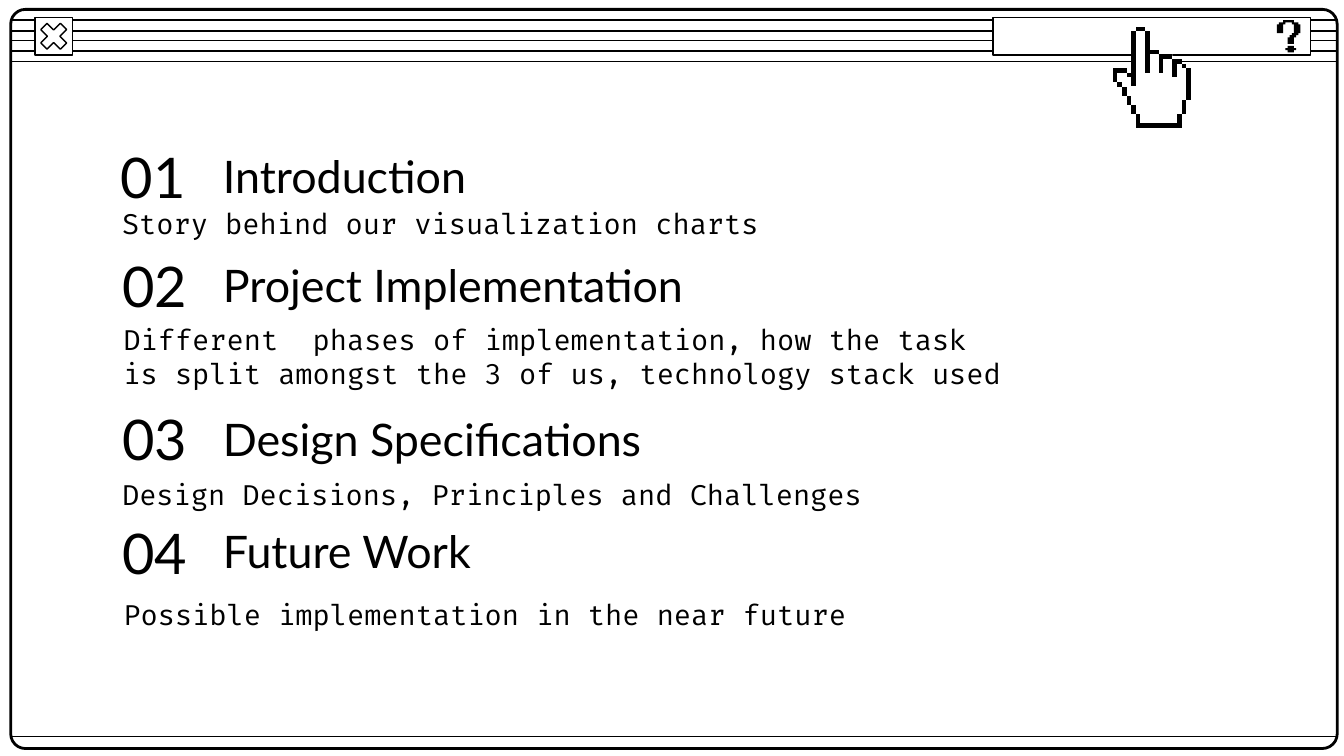
import pptx
import pptx.dml.color
import pptx.enum.shapes
import pptx.enum.text
import pptx.oxml.ns
import pptx.util
from lxml import etree

Inches = pptx.util.Inches
Pt = pptx.util.Pt
Kind = pptx.enum.shapes.MSO_SHAPE

BLACK = pptx.dml.color.RGBColor(0x00, 0x00, 0x00)
WHITE = pptx.dml.color.RGBColor(0xFF, 0xFF, 0xFF)

NUMBER = {"name": "Lato", "size": Pt(30)}
TITLE = {"name": "Lato", "size": Pt(24)}
DETAIL = {"name": "Fira Code", "size": Pt(15)}
FRAME = {
    "word_wrap": True,
    "vertical_anchor": pptx.enum.text.MSO_ANCHOR.MIDDLE,
    "margin_left": Inches(0.1),
    "margin_right": Inches(0.1),
    "margin_top": Inches(0.1),
    "margin_bottom": Inches(0.1),
}

# Number, its left and top, title, top of title, detail, and the detail's box
TOPICS = [
    ("01", 0.8, 1.14, "Introduction", 1.14,
     "Story behind our visualization charts", (0.81, 1.55, 6.17, 0.22)),
    ("02", 0.81, 1.95, "Project Implementation", 1.95,
     "Different  phases of implementation, how the task is split "
     "amongst the 3 of us, technology stack used", (0.82, 2.37, 6.82, 0.56)),
    ("03", 0.81, 3.09, "Design Specifications", 3.09,
     "Design Decisions, Principles and Challenges", (0.81, 3.51, 7.02, 0.34)),
    ("04", 0.81, 3.94, "Future Work", 3.93,
     "Possible implementation in the near future", (0.82, 4.41, 7.18, 0.33)),
]

# Pixel art: corners in grid cells, each reached by going down or up, then across
HOOK = [(3, 0), (1, 1), (0, 2), (3, 6), (4, 2), (7, 1), (8, 2), (7, 6),
        (6, 7), (5, 8), (8, 11), (9, 8), (10, 7), (11, 6), (10, 2), (8, 1)]
DOT = [(5, 12), (4, 13), (5, 14), (8, 15), (9, 14), (8, 13)]
PALM = [(5, 0), (4, 1), (3, 10), (0, 9), (1, 12), (2, 13), (3, 15), (4, 17),
        (5, 19), (15, 22), (16, 19), (17, 16), (16, 9), (15, 8), (13, 7),
        (10, 6), (8, 5), (7, 1)]
# Outline bars of the hand: column, row, columns wide, rows high
BARS = [(4, 1, 1, 12), (5, 0, 2, 1), (7, 1, 1, 9), (8, 5, 2, 1),
        (10, 7, 1, 3), (10, 6, 3, 1), (13, 8, 1, 3), (13, 7, 2, 1),
        (15, 8, 1, 1), (16, 9, 1, 7), (15, 16, 1, 3), (14, 19, 1, 3),
        (5, 21, 9, 1), (3, 10, 1, 1), (0, 9, 3, 1), (0, 10, 1, 2),
        (1, 12, 1, 1), (2, 13, 1, 2), (3, 15, 1, 2), (4, 17, 1, 2),
        (5, 19, 1, 2)]


class Page:
    """Draws black and white window parts on one slide."""

    def __init__(self, slide):
        self.slide = slide
        self.shapes = slide.shapes

    def rule(self, top):
        """Draw a line across the window."""
        line = self.shapes.add_connector(
            pptx.enum.shapes.MSO_CONNECTOR.STRAIGHT,
            Inches(0.08), Inches(top), Inches(9.95), Inches(top))
        line.line.color.rgb = BLACK
        line.line.width = Pt(0.75)
        etree.SubElement(line._element.spPr, pptx.oxml.ns.qn("a:effectLst"))

    def box(self, kind, area, fill=WHITE, width=0.75, bend=None):
        shape = self.shapes.add_shape(kind, *map(Inches, area))
        shape.shadow.inherit = False
        if fill is None:
            shape.fill.background()
        else:
            shape.fill.solid()
            shape.fill.fore_color.rgb = fill
        shape.line.color.rgb = BLACK
        shape.line.width = Pt(width)
        if bend is not None:
            shape.adjustments[0] = bend

    def pixels(self, corners, left, top, cell, fill=BLACK):
        """Fill a stepped outline on a grid of square cells."""
        steps = []
        for (col, _), (x, y) in zip(corners, corners[1:] + corners[:1]):
            steps += [(col, y), (x, y)]
        pen = self.shapes.build_freeform(*corners[0], scale=cell)
        pen.add_line_segments(steps[:-1], close=True)
        shape = pen.convert_to_shape(Inches(left), Inches(top))
        shape.shadow.inherit = False
        shape.fill.solid()
        shape.fill.fore_color.rgb = fill
        shape.line.fill.background()

    def text(self, words, area, style):
        frame = self.shapes.add_textbox(*map(Inches, area)).text_frame
        for key, value in FRAME.items():
            setattr(frame, key, value)
        run = frame.paragraphs[0].add_run()
        run.text = words
        for key, value in style.items():
            setattr(run.font, key, value)
        run.font.color.rgb = BLACK


def window(page):
    for top in (0.15, 0.23, 0.3, 0.38, 0.46):
        page.rule(top)
    page.box(Kind.ROUNDED_RECTANGLE, (0.08, 0.07, 9.87, 5.5),
             fill=None, width=1.5, bend=0.02)
    close = (0.26, 0.13, 0.28, 0.28)
    page.box(Kind.RECTANGLE, close)
    page.box(Kind.MATH_MULTIPLY, close, bend=0.235)
    page.rule(5.48)
    page.box(Kind.RECTANGLE, (7.39, 0.13, 2.36, 0.28))
    for part in (DOT, HOOK):
        page.pixels(part, 9.5, 0.15, Inches(0.24) / 15)


def hand(page):
    spot = (8.28, 0.2, Inches(0.58) / 17)
    page.pixels(PALM, *spot, fill=WHITE)
    for col, row, wide, high in BARS:
        page.pixels([(col, row), (col + wide, row + high)], *spot)


def main():
    deck = pptx.Presentation()
    deck.slide_width = Inches(10)
    deck.slide_height = Inches(10) * 9 // 16
    page = Page(deck.slides.add_slide(deck.slide_layouts[6]))
    window(page)
    for number, left, top, title, head, detail, area in TOPICS:
        page.text(title, (1.56, head, 5.42, 0.34), TITLE)
        page.text(number, (left, top, 0.76, 0.34), NUMBER)
        page.text(detail, area, DETAIL)
    hand(page)
    deck.save("out.pptx")


if __name__ == "__main__":
    main()
